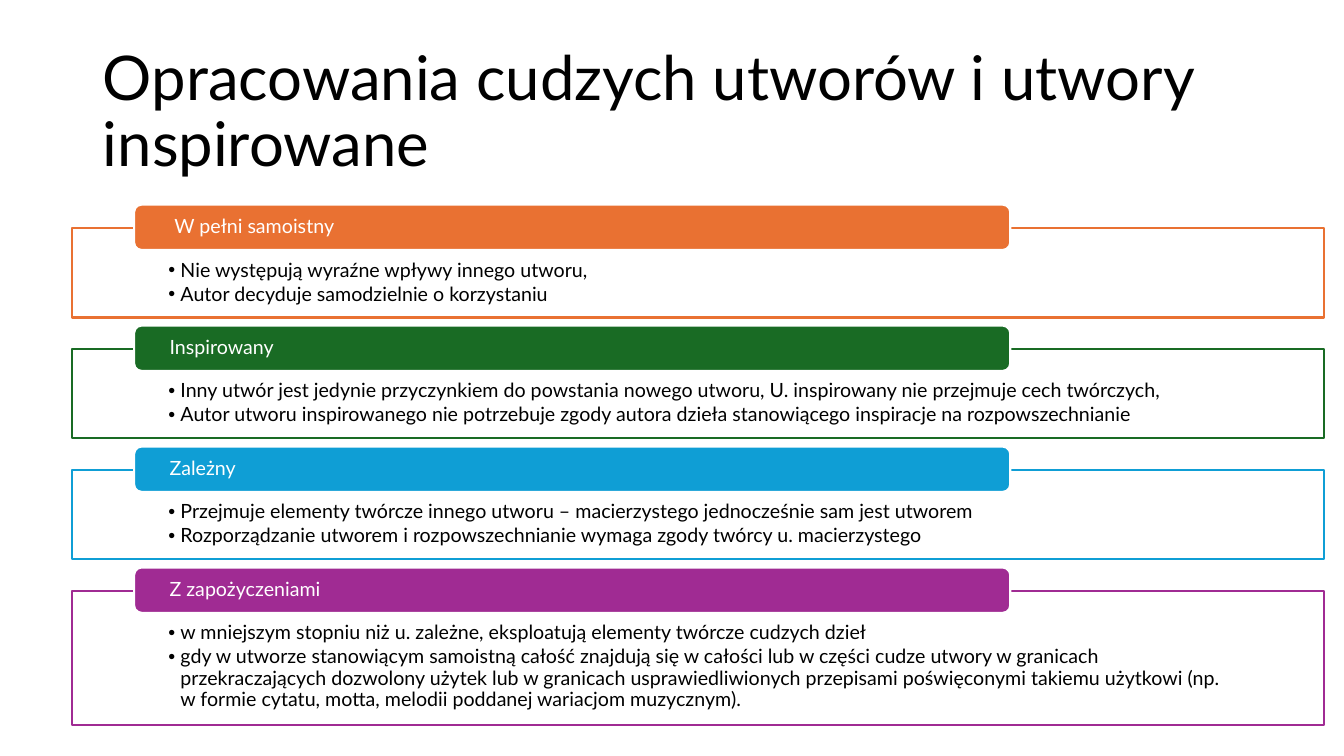
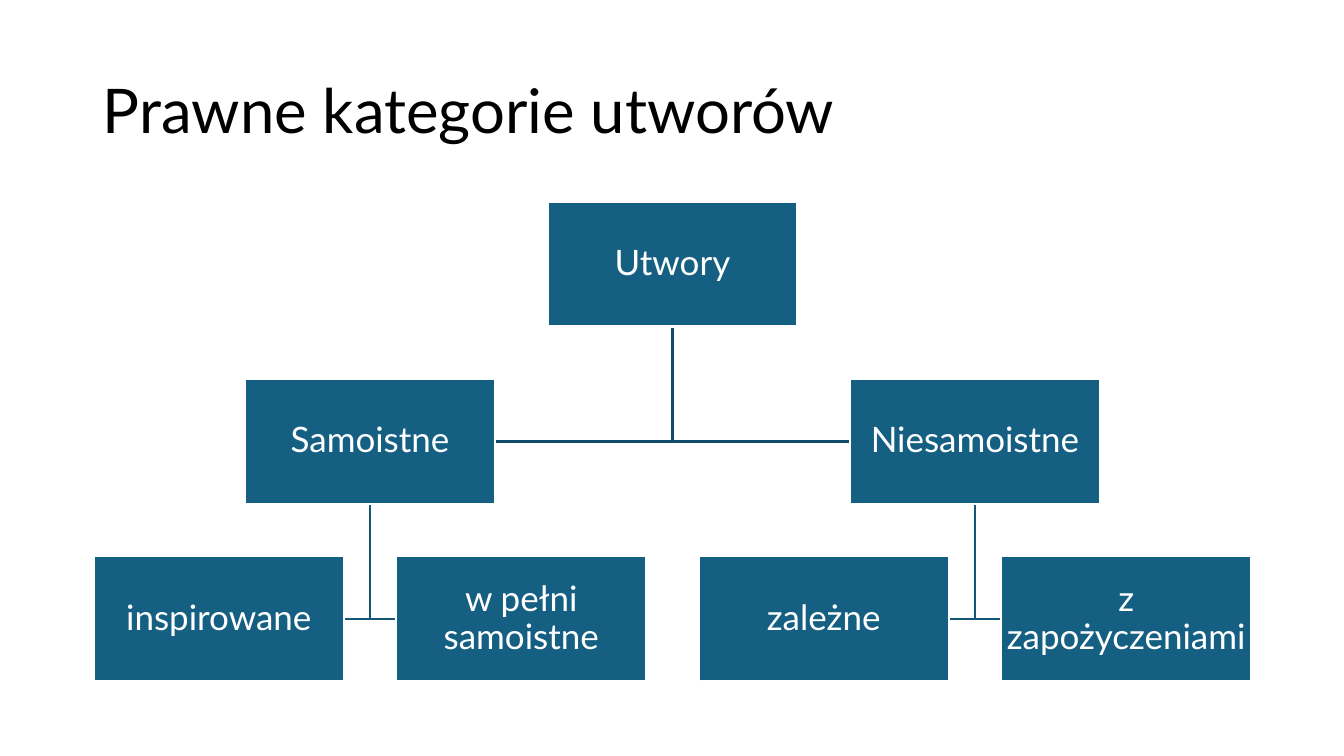
from lxml import etree
from pptx import Presentation
from pptx.dml.color import RGBColor
from pptx.enum.shapes import MSO_SHAPE
from pptx.enum.text import MSO_ANCHOR, MSO_AUTO_SIZE, PP_ALIGN
from pptx.oxml.ns import qn
from pptx.util import Inches, Pt

RECT, ROUNDED = MSO_SHAPE.RECTANGLE, MSO_SHAPE.ROUNDED_RECTANGLE
TOP, MIDDLE = MSO_ANCHOR.TOP, MSO_ANCHOR.MIDDLE
LEFT, CENTER = PP_ALIGN.LEFT, PP_ALIGN.CENTER
TITLE_ONLY = 5

# Shared style
FONT = "Lato"
BLACK, WHITE, NODE = "000000", "FFFFFF", "156082"
LINK_COLOURS = ["114D68", "135776"]
LINE_WIDTH = Pt(1.5)

# Content: colour, heading, points
CATEGORIES = [
    ("E97132", " W pełni samoistny", [
        "Nie występują wyraźne wpływy innego utworu,",
        "Autor decyduje samodzielnie o korzystaniu"]),
    ("196B24", "Inspirowany", [
        "Inny utwór jest jedynie przyczynkiem do powstania nowego utworu, "
        "U. inspirowany nie przejmuje cech twórczych,",
        "Autor utworu inspirowanego nie potrzebuje zgody autora dzieła "
        "stanowiącego inspiracje na rozpowszechnianie"]),
    ("0F9ED5", "Zależny", [
        "Przejmuje elementy twórcze innego utworu – macierzystego "
        "jednocześnie sam jest utworem",
        "Rozporządzanie utworem i rozpowszechnianie wymaga zgody twórcy "
        "u. macierzystego"]),
    ("A02B93", "Z zapożyczeniami", [
        "w mniejszym stopniu niż u. zależne, eksploatują elementy twórcze "
        "cudzych dzieł",
        "gdy w utworze stanowiącym samoistną całość znajdują się w całości "
        "lub w części cudze utwory w granicach przekraczających dozwolony "
        "użytek lub w granicach usprawiedliwionych przepisami poświęconymi "
        "takiemu użytkowi (np. w formie cytatu, motta, melodii poddanej "
        "wariacjom muzycznym)."]),
]
LEVELS = [
    ["Utwory"],
    ["Samoistne", "Niesamoistne"],
    ["inspirowane", "w pełni samoistne", "zależne", "z zapożyczeniami"],
]


def rgb(colour):
    return RGBColor.from_string(colour)


def add_bullet(paragraph):
    properties = paragraph._p.get_or_add_pPr()
    properties.set("marL", str(Inches(0.12)))
    properties.set("indent", str(-Inches(0.12)))
    etree.SubElement(properties, qn("a:buFont")).set("typeface", "Arial")
    etree.SubElement(properties, qn("a:buChar")).set("char", "•")


def write(frame, lines, size, colour, align=LEFT, anchor=MIDDLE,
          insets=(0.1, 0.05, 0.1, 0.05), bullets=False):
    left, top, right, bottom = map(Inches, insets)
    frame_format = {
        "word_wrap": True, "auto_size": MSO_AUTO_SIZE.NONE,
        "vertical_anchor": anchor, "margin_left": left, "margin_top": top,
        "margin_right": right, "margin_bottom": bottom,
    }
    for name, value in frame_format.items():
        setattr(frame, name, value)
    for index, line in enumerate(lines):
        paragraph = frame.paragraphs[0] if index == 0 else frame.add_paragraph()
        if bullets:
            add_bullet(paragraph)
        paragraph_format = {
            "text": line, "alignment": align, "line_spacing": 0.9,
            "space_before": Pt(0), "space_after": Pt(2 if bullets else 0),
        }
        for name, value in paragraph_format.items():
            setattr(paragraph, name, value)
        for name, value in {"name": FONT, "size": Pt(size)}.items():
            setattr(paragraph.font, name, value)
        paragraph.font.color.rgb = rgb(colour)


def set_line(shape, colour):
    shape.shadow.inherit = False
    shape.line.color.rgb = rgb(colour)
    shape.line.width = LINE_WIDTH


def add_box(slide, kind, box, fill, line):
    shape = slide.shapes.add_shape(kind, *map(Inches, box))
    shape.fill.solid()
    shape.fill.fore_color.rgb = rgb(fill)
    set_line(shape, line)
    return shape


def add_link(slide, points, colour):
    start, *rest = [(Inches(x), Inches(y)) for x, y in points]
    builder = slide.shapes.build_freeform(*start)
    builder.add_line_segments(rest, close=False)
    link = builder.convert_to_shape()
    link.fill.background()
    set_line(link, colour)


def add_titled_slide(deck, text):
    slide = deck.slides.add_slide(deck.slide_layouts[TITLE_ONLY])
    title = slide.shapes.title
    place = {"left": 0.92, "top": 0.4, "width": 11.5, "height": 1.45}
    for name, value in place.items():
        setattr(title, name, Inches(value))
    write(title.text_frame, [text], 44, BLACK)
    return slide


def add_category(slide, top, height, colour, heading, points):
    frame = add_box(slide, RECT, (0.71, top + 0.23, 12.42, height), WHITE, colour)
    write(frame.text_frame, points, 14, BLACK, anchor=TOP,
          insets=(0.96, 0.32, 0.96, 0.11), bullets=True)
    tab = add_box(slide, ROUNDED, (1.33, top, 8.69, 0.45), colour, WHITE)
    write(tab.text_frame, [heading], 14, WHITE, insets=(0.33, 0, 0.33, 0))


def add_tree(slide, levels):
    width, height, top, step = 2.48, 1.24, 2, 1.76
    middle, span = 6.67, 12

    def centre(depth, index):
        count = len(levels[depth])
        return middle + (index - (count - 1) / 2) * span / count

    # Links from each parent to the inner sides of its two children
    for depth, colour in enumerate(LINK_COLOURS):
        start_y = top + depth * step + height
        end_y = top + (depth + 1) * step + height / 2
        for child in range(len(levels[depth + 1])):
            x = centre(depth, child // 2)
            inward = 1 if child % 2 == 0 else -1
            end_x = centre(depth + 1, child) + inward * width / 2
            add_link(slide, [(x, start_y), (x, end_y), (end_x, end_y)], colour)

    # Nodes
    for depth, names in enumerate(levels):
        for index, name in enumerate(names):
            box = (centre(depth, index) - width / 2, top + depth * step,
                   width, height)
            node = add_box(slide, RECT, box, NODE, WHITE)
            write(node.text_frame, [name], 25, WHITE, align=CENTER,
                  insets=(0.02,) * 4)


def main():
    deck = Presentation()
    deck.slide_width, deck.slide_height = Inches(13.33), Inches(7.5)

    # Slide 1: four categories
    slide = add_titled_slide(deck, "Opracowania cudzych utworów i utwory inspirowane")
    for row, (colour, heading, points) in enumerate(CATEGORIES):
        height = 1.33 if row == len(CATEGORIES) - 1 else 0.89
        add_category(slide, 2.03 + row * 1.2, height, colour, heading, points)

    # Slide 2: category tree
    slide = add_titled_slide(deck, "Prawne kategorie utworów")
    add_tree(slide, LEVELS)

    deck.save("out.pptx")


if __name__ == "__main__":
    main()
